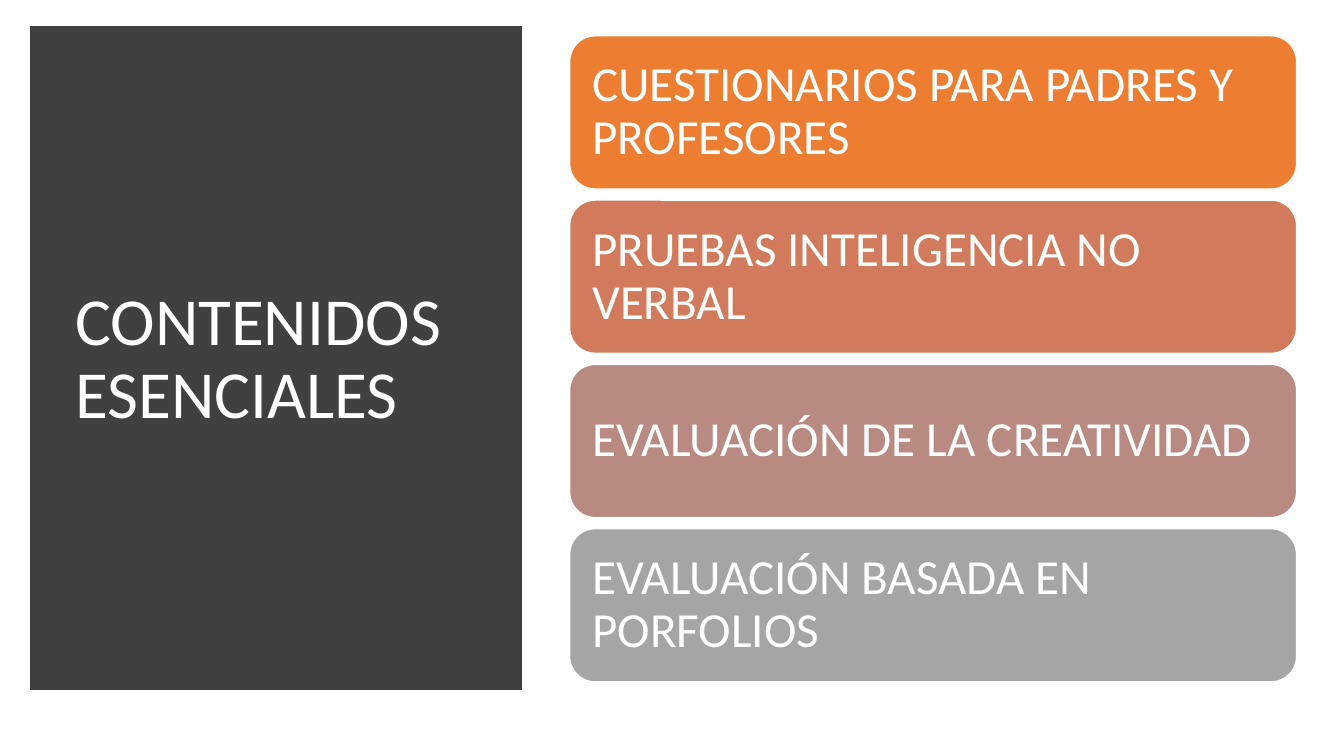
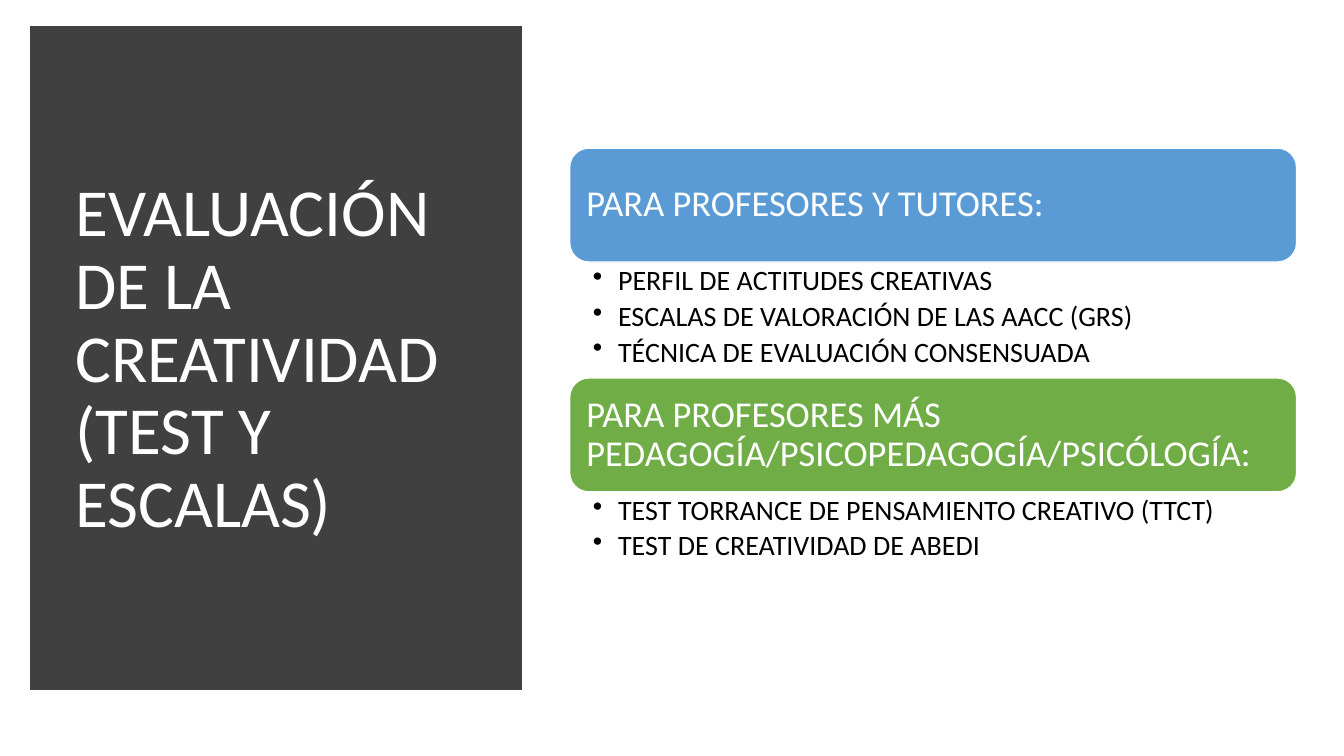
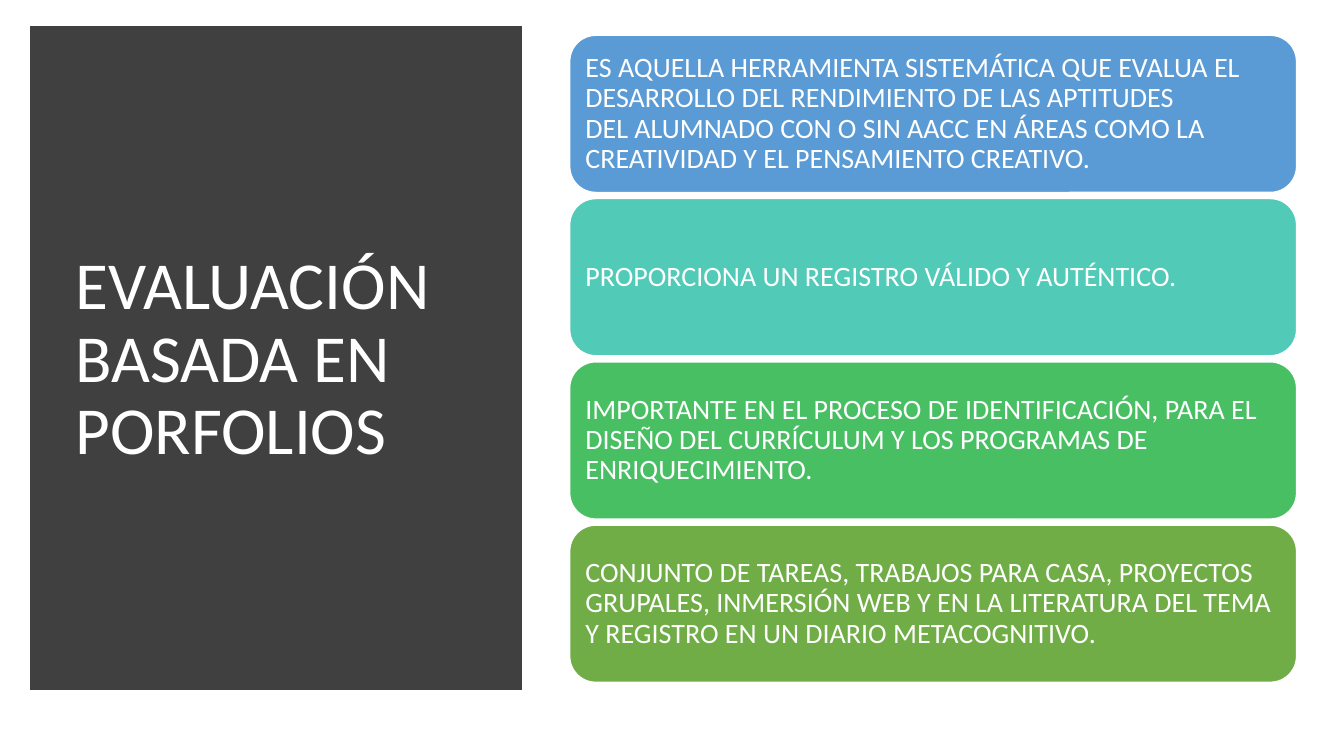
from dataclasses import dataclass

from lxml.etree import SubElement
from pptx import Presentation
from pptx.dml.color import RGBColor as Rgb
from pptx.enum.shapes import MSO_SHAPE as Kind
from pptx.enum.text import MSO_ANCHOR as Anchor, PP_ALIGN as Align
from pptx.oxml.ns import qn
from pptx.util import Inches, Pt

# Shared look
FONT = "Calibri"
HEX = {
    "white": "FFFFFF", "black": "000000", "dark": "404040",
    "orange": "ED7D31", "coral": "D17B5C", "rose": "B98A82", "gray": "A5A5A5",
    "blue": "5B9BD5", "teal": "52CAB8", "mint": "49BF64", "green": "70AD47",
}
PANEL = (0.37, 0.33, 4.74, 6.45)
TITLE = (0.65, 0.7, 4.16, 5.75)
LEFT, WIDTH, MID = 5.65, 7.21, 3.56


@dataclass
class Bar:
    text: str
    fill: str


@dataclass
class Notes:
    lines: list[str]
    high: float


@dataclass
class Page:
    title: str
    stack: list[Bar | Notes]
    high: float  # height of each bar
    gap: float
    size: int
    inset: float


PAGES = [
    Page("CONTENIDOS ESENCIALES", [
        Bar("CUESTIONARIOS PARA PADRES Y PROFESORES", "orange"),
        Bar("PRUEBAS INTELIGENCIA NO VERBAL", "coral"),
        Bar("EVALUACIÓN DE LA CREATIVIDAD", "rose"),
        Bar("EVALUACIÓN BASADA EN PORFOLIOS", "gray"),
    ], high=1.52, gap=0.11, size=35, inset=0.15),
    Page("EVALUACIÓN DE LA CREATIVIDAD (TEST Y ESCALAS)", [
        Bar("PARA PROFESORES Y TUTORES:", "blue"),
        Notes(["PERFIL DE ACTITUDES CREATIVAS",
               "ESCALAS DE VALORACIÓN DE LAS AACC (GRS)",
               "TÉCNICA DE EVALUACIÓN CONSENSUADA"], 1.15),
        Bar("PARA PROFESORES MÁS PEDAGOGÍA/PSICOPEDAGOGÍA/PSICÓLOGÍA:", "green"),
        Notes(["TEST TORRANCE DE PENSAMIENTO CREATIVO (TTCT)",
               "TEST DE CREATIVIDAD DE ABEDI"], 0.77),
    ], high=1.13, gap=0, size=26, inset=0.11),
    Page("EVALUACIÓN BASADA EN PORFOLIOS", [
        Bar("ES AQUELLA HERRAMIENTA SISTEMÁTICA QUE EVALUA EL DESARROLLO DEL "
            "RENDIMIENTO DE LAS APTITUDES DEL\u00a0ALUMNADO CON O SIN AACC EN ÁREAS "
            "COMO LA CREATIVIDAD Y EL PENSAMIENTO CREATIVO.", "blue"),
        Bar("PROPORCIONA UN REGISTRO VÁLIDO Y AUTÉNTICO.", "teal"),
        Bar("IMPORTANTE EN EL PROCESO DE IDENTIFICACIÓN,\u00a0PARA EL DISEÑO DEL "
            "CURRÍCULUM Y\u00a0LOS PROGRAMAS DE ENRIQUECIMIENTO.", "mint"),
        Bar("CONJUNTO DE TAREAS, TRABAJOS PARA CASA,\u00a0PROYECTOS GRUPALES,"
            "\u00a0INMERSIÓN WEB Y EN LA LITERATURA DEL TEMA Y\u00a0REGISTRO\u00a0EN UN "
            "DIARIO METACOGNITIVO.", "green"),
    ], high=1.56, gap=0.06, size=20, inset=0.08),
]


# Drawing tools
def color(name: str) -> Rgb:
    return Rgb.from_string(HEX[name])


def place(box: tuple) -> list:
    return [Inches(n) for n in box]


def write(shape, lines: list[str], *, size: int, ink: str = "white",
          anchor=Anchor.MIDDLE, inset: tuple = (0.1, 0.05, 0.1, 0.05),
          after: float = 0, bullet: str = "") -> None:
    frame = shape.text_frame
    frame.word_wrap = True
    frame.vertical_anchor = anchor
    (frame.margin_left, frame.margin_top,
     frame.margin_right, frame.margin_bottom) = place(inset)
    for i, line in enumerate(lines):
        para = frame.paragraphs[0] if i == 0 else frame.add_paragraph()
        para.alignment = Align.LEFT
        para.line_spacing = 0.9
        para.space_after = Pt(after)
        run = para.add_run()
        run.text = line
        run.font.name, run.font.size = FONT, Pt(size)
        run.font.color.rgb = color(ink)
        if bullet:
            para.level = 1
            props = para._p.get_or_add_pPr()
            props.set("marL", str(Inches(0.25)))
            props.set("indent", str(Inches(-0.25)))
            SubElement(props, qn("a:buChar"), char=bullet)


def block(slide, kind, box: tuple, fill: str, edge: str, wide: float):
    shape = slide.shapes.add_shape(kind, *place(box))
    shape.shadow.inherit = False
    shape.fill.solid()
    shape.fill.fore_color.rgb = color(fill)
    shape.line.color.rgb = color(edge)
    shape.line.width = Pt(wide)
    return shape


def side(slide, title: str) -> None:
    panel = block(slide, Kind.RECTANGLE, PANEL, "dark", "dark", 10)
    edge = panel.element.spPr.get_or_add_ln()
    SubElement(edge, qn("a:miter"), lim="800000")  # square corners
    write(slide.shapes.add_textbox(*place(TITLE)), [title], size=48)


def column(slide, page: Page) -> None:
    highs = [n.high if isinstance(n, Notes) else page.high for n in page.stack]
    top = MID - (sum(highs) + page.gap * (len(highs) - 1)) / 2
    for item, high in zip(page.stack, highs):
        box = (LEFT, top, WIDTH, high)
        if isinstance(item, Bar):
            bar = block(slide, Kind.ROUNDED_RECTANGLE, box, item.fill, "white", 1)
            write(bar, [item.text], size=page.size, inset=(page.inset,) * 4)
        else:
            write(slide.shapes.add_textbox(*place(box)), item.lines, size=20,
                  ink="black", anchor=Anchor.TOP, after=4, bullet="•",
                  inset=(0.23, 0.04, 0.2, 0.04))
        top += high + page.gap


# Build the deck
deck = Presentation()
deck.slide_width, deck.slide_height = Inches(13.33), Inches(7.5)
for page in PAGES:
    slide = deck.slides.add_slide(deck.slide_layouts[6])
    side(slide, page.title)
    column(slide, page)
deck.save("out.pptx")
